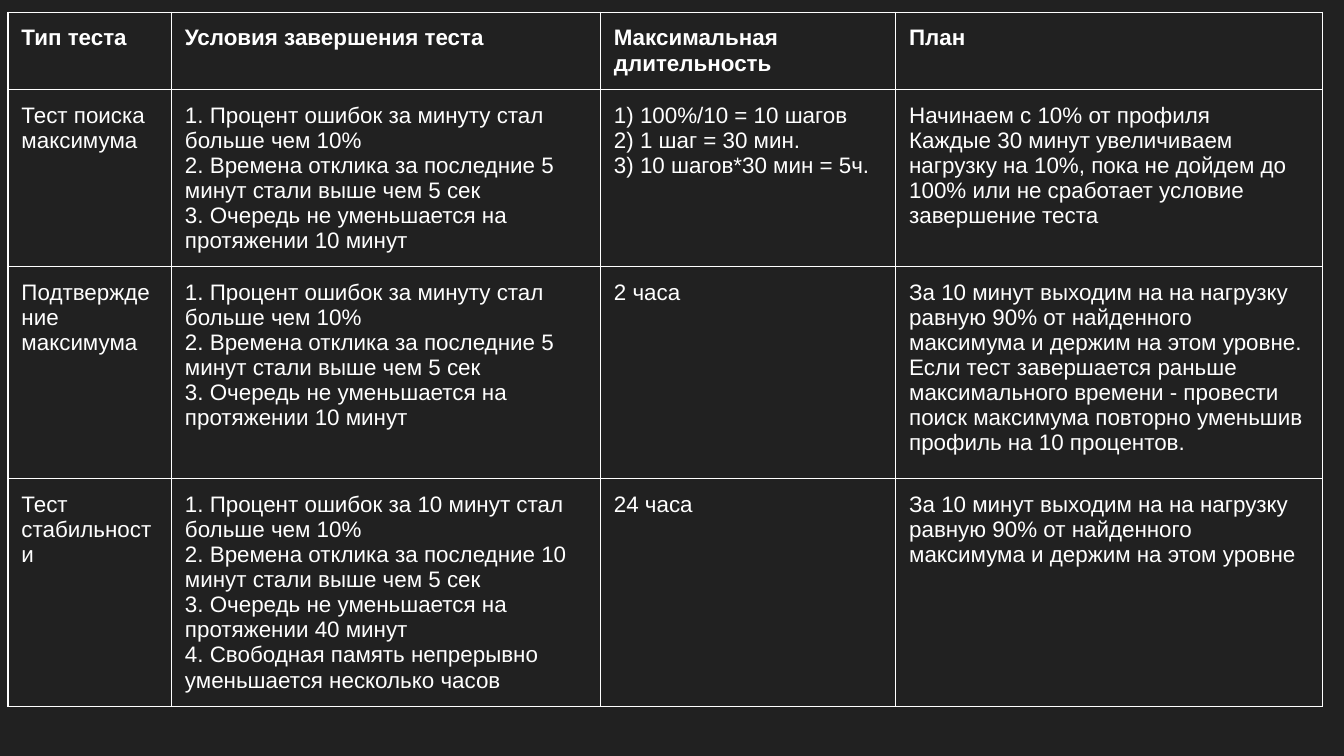
from lxml import etree
from pptx import Presentation
from pptx.dml.color import RGBColor
from pptx.oxml import ns
from pptx.util import Pt

BACKGROUND = RGBColor(0x21, 0x21, 0x21)
WHITE = RGBColor(0xFF, 0xFF, 0xFF)

COLUMN_WIDTHS = [87.6, 229.8, 158.2, 228.5]
ROW_HEIGHTS = [38.9, 74.9, 113.6, 115.9]

HEADINGS = ["Тип теста", "Условия завершения теста", "Максимальная длительность", "План"]
HOLD_LOAD = (
    "За 10 минут выходим на на нагрузку равную 90% от найденного "
    "максимума и держим на этом уровне"
)


def stop_conditions(error_window="минуту", response_window=5, queue_window=10):
    return [
        f"1. Процент ошибок за {error_window} стал больше чем 10%",
        f"2. Времена отклика за последние {response_window} минут стали выше чем 5 сек",
        f"3. Очередь не уменьшается на протяжении {queue_window} минут",
    ]


# Each cell is a list of paragraphs.
TEST_ROWS = [
    [
        ["Тест поиска максимума"],
        stop_conditions(),
        ["1) 100%/10 = 10 шагов", "2) 1 шаг = 30 мин.", "3) 10 шагов*30 мин = 5ч."],
        [
            "Начинаем с 10% от профиля",
            "Каждые 30 минут увеличиваем нагрузку на 10%, пока не дойдем до 100% "
            "или не сработает условие завершение теста",
        ],
    ],
    [
        ["Подтверждение максимума"],
        stop_conditions(),
        ["2 часа"],
        [
            HOLD_LOAD + ". Если тест завершается раньше максимального времени - "
            "провести поиск максимума повторно уменьшив профиль на 10 процентов."
        ],
    ],
    [
        ["Тест стабильности"],
        stop_conditions("10 минут", 10, 40)
        + ["4. Свободная память непрерывно уменьшается несколько часов"],
        ["24 часа"],
        [HOLD_LOAD],
    ],
]


def set_borders(cell, color, width):
    properties = cell._tc.get_or_add_tcPr()
    for position, side in enumerate(("a:lnL", "a:lnR", "a:lnT", "a:lnB")):
        line = etree.Element(ns.qn(side), w=str(Pt(width)))
        fill = etree.SubElement(line, ns.qn("a:solidFill"))
        etree.SubElement(fill, ns.qn("a:srgbClr"), val=str(color))
        properties.insert(position, line)


def fill_cell(cell, paragraphs, bold):
    cell.fill.background()
    cell.margin_left = cell.margin_right = Pt(7.2)
    cell.margin_top = cell.margin_bottom = Pt(7.2)
    cell.text = "\n".join(paragraphs)
    for para in cell.text_frame.paragraphs:
        para.font.name = "Arial"
        para.font.size = Pt(12)
        para.font.bold = bold
        para.font.color.rgb = WHITE
    set_borders(cell, WHITE, 0.75)


def add_test_table(page, left, top):
    rows = [[[heading] for heading in HEADINGS]] + TEST_ROWS
    table = page.shapes.add_table(
        len(rows), len(HEADINGS), Pt(left), Pt(top),
        Pt(sum(COLUMN_WIDTHS)), Pt(sum(ROW_HEIGHTS)),
    ).table
    table.horz_banding = False
    for column, width in zip(table.columns, COLUMN_WIDTHS):
        column.width = Pt(width)
    for index, (row, height) in enumerate(zip(table.rows, ROW_HEIGHTS)):
        row.height = Pt(height)
        for cell, paragraphs in zip(row.cells, rows[index]):
            fill_cell(cell, paragraphs, bold=index == 0)


def main():
    deck = Presentation()
    deck.slide_width, deck.slide_height = Pt(720), Pt(405)
    page = deck.slides.add_slide(deck.slide_layouts[6])
    page.background.fill.solid()
    page.background.fill.fore_color.rgb = BACKGROUND
    add_test_table(page, left=4.3, top=6.5)
    deck.save("out.pptx")


if __name__ == "__main__":
    main()
